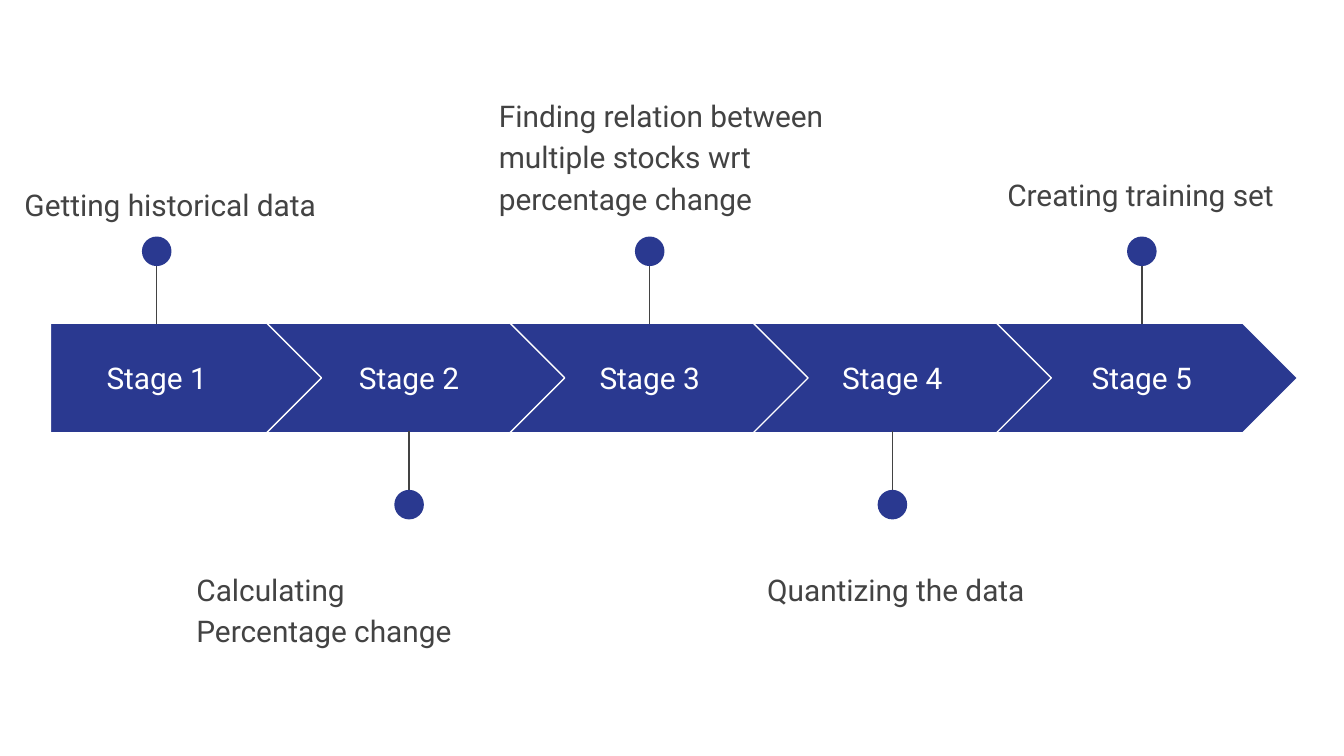
from dataclasses import dataclass

from lxml import etree
from pptx import Presentation
from pptx import util as u
from pptx.dml.color import RGBColor
from pptx.enum import shapes, text
from pptx.oxml.ns import qn


@dataclass(frozen=True)
class Theme:
    """Colours, type and line sizes of the timeline."""
    blue: str = "2A3990"
    white: str = "FFFFFF"
    grey: str = "434343"
    font: str = "Roboto"
    size: float = 16
    line: float = 0.75
    leading: float = 1.15


@dataclass(frozen=True)
class Stage:
    """One stage: its note, the note's box, and its pin and title in grid cells."""
    note: str
    note_box: tuple
    pin: float
    above: bool = True
    title_width: float = 14.4


THEME = Theme()
SLIDE_WIDTH = u.Inches(10)
SLIDE_HEIGHT = u.Emu(SLIDE_WIDTH * 9 // 16)
CELL = SLIDE_WIDTH / 100
BAND_TOP, BAND_HEIGHT = 24.05, 8.15
FIRST_LEFT, FIRST_WIDTH = 3.75, 20.45
CHEVRON_LEFT, CHEVRON_WIDTH, PITCH = 19.85, 22.4, 18.1
TITLE_TOP, TITLE_HEIGHT = 25.55, 5.1
DOT = 2.2
STAGES = (
    Stage("Getting historical data", (0.84, 12.5, 24.5, 5.1), 11.66, title_width=15.9),
    Stage("Calculating Percentage change", (13.63, 41.13, 24.5, 9.9), 30.44, above=False),
    Stage("Finding relation between multiple stocks wrt percentage change",
          (36.14, 5.88, 26.4, 9.9), 48.34),
    Stage("Quantizing the data", (56.1, 41.13, 24.5, 9.9), 66.4, above=False),
    Stage("Creating training set", (73.97, 11.74, 22.4, 4.4), 84.96),
)


def cells(*values):
    """Turn grid cells into lengths."""
    return [u.Emu(round(value * CELL)) for value in values]


def colour(value):
    """Turn a hex string into a colour."""
    return RGBColor.from_string(value)


def add_solid(parent, kind, box, outline=None):
    """Add a blue preset shape, outlined if a colour is given."""
    shape = parent.shapes.add_shape(kind, *cells(*box))
    shape.shadow.inherit = False
    shape.fill.solid()
    shape.fill.fore_color.rgb = colour(THEME.blue)
    if outline:
        shape.line.color.rgb = colour(outline)
        shape.line.width = u.Pt(THEME.line)
    else:
        shape.line.fill.background()
    return shape


def add_text(slide, box, words, ink, anchor=text.MSO_ANCHOR.TOP):
    """Add a wrapped text box and return its paragraph."""
    frame = slide.shapes.add_textbox(*cells(*box)).text_frame
    frame.word_wrap = True
    frame.vertical_anchor = anchor
    frame.margin_left = frame.margin_right = u.Inches(0.1)
    frame.margin_top = frame.margin_bottom = u.Inches(0.1)
    paragraph = frame.paragraphs[0]
    run = paragraph.add_run()
    run.text = words
    run.font.name = THEME.font
    run.font.size = u.Pt(THEME.size)
    run.font.color.rgb = colour(ink)
    return paragraph


def add_band(slide, index):
    """Add one arrow of the band."""
    if index == 0:
        kind, left, width = shapes.MSO_SHAPE.PENTAGON, FIRST_LEFT, FIRST_WIDTH
    else:
        kind, width = shapes.MSO_SHAPE.CHEVRON, CHEVRON_WIDTH
        left = CHEVRON_LEFT + (index - 1) * PITCH
    arrow = add_solid(slide, kind, (left, BAND_TOP, width, BAND_HEIGHT), THEME.white)
    arrow.adjustments[0] = 0.5


def add_title(slide, stage, words):
    """Centre a stage title on its pin."""
    box = (stage.pin - stage.title_width / 2, TITLE_TOP, stage.title_width, TITLE_HEIGHT)
    paragraph = add_text(slide, box, words, THEME.white, text.MSO_ANCHOR.MIDDLE)
    paragraph.alignment = text.PP_ALIGN.CENTER


def add_pin(slide, stage):
    """Add a grouped stem and dot above or below the band."""
    group = slide.shapes.add_group_shape()
    start, end, dot_top = (18, 24.1, 17.6) if stage.above else (38.2, 32.1, 36.45)
    stem = group.shapes.add_connector(
        shapes.MSO_CONNECTOR.STRAIGHT, *cells(stage.pin, start, stage.pin, end))
    stem.line.color.rgb = colour(THEME.grey)
    stem.line.width = u.Pt(THEME.line)
    etree.SubElement(stem.element.spPr, qn("a:effectLst"))
    add_solid(group, shapes.MSO_SHAPE.OVAL, (stage.pin - DOT / 2, dot_top, DOT, DOT))


def add_note(slide, stage):
    """Add the description of a stage."""
    paragraph = add_text(slide, stage.note_box, stage.note, THEME.grey)
    paragraph.line_spacing = THEME.leading
    paragraph.space_after = u.Pt(THEME.size)


def main():
    """Build and save the timeline slide."""
    presentation = Presentation()
    presentation.slide_width, presentation.slide_height = SLIDE_WIDTH, SLIDE_HEIGHT
    slide = presentation.slides.add_slide(presentation.slide_layouts[6])
    slide.background.fill.solid()
    slide.background.fill.fore_color.rgb = colour(THEME.white)
    for index, stage in enumerate(STAGES):
        add_band(slide, index)
        add_title(slide, stage, f"Stage {index + 1}")
        add_pin(slide, stage)
        add_note(slide, stage)
    presentation.save("out.pptx")


if __name__ == "__main__":
    main()
